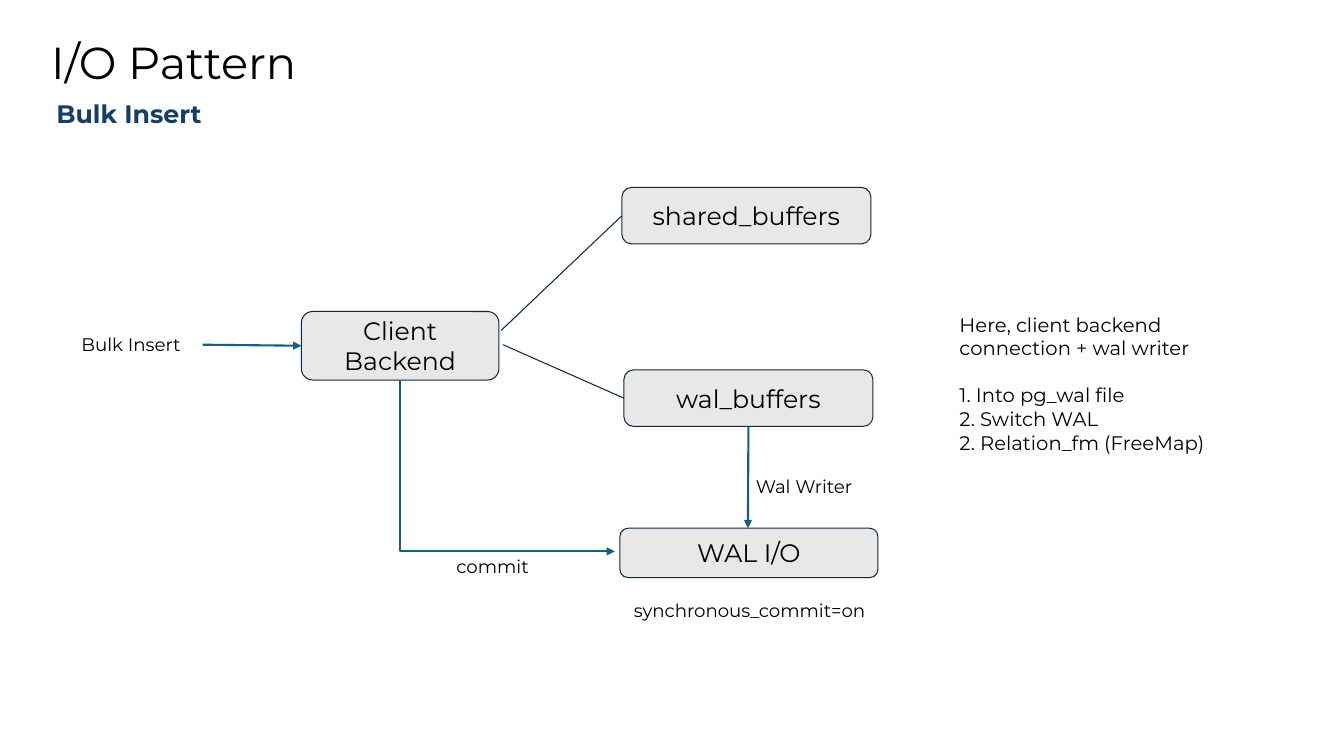
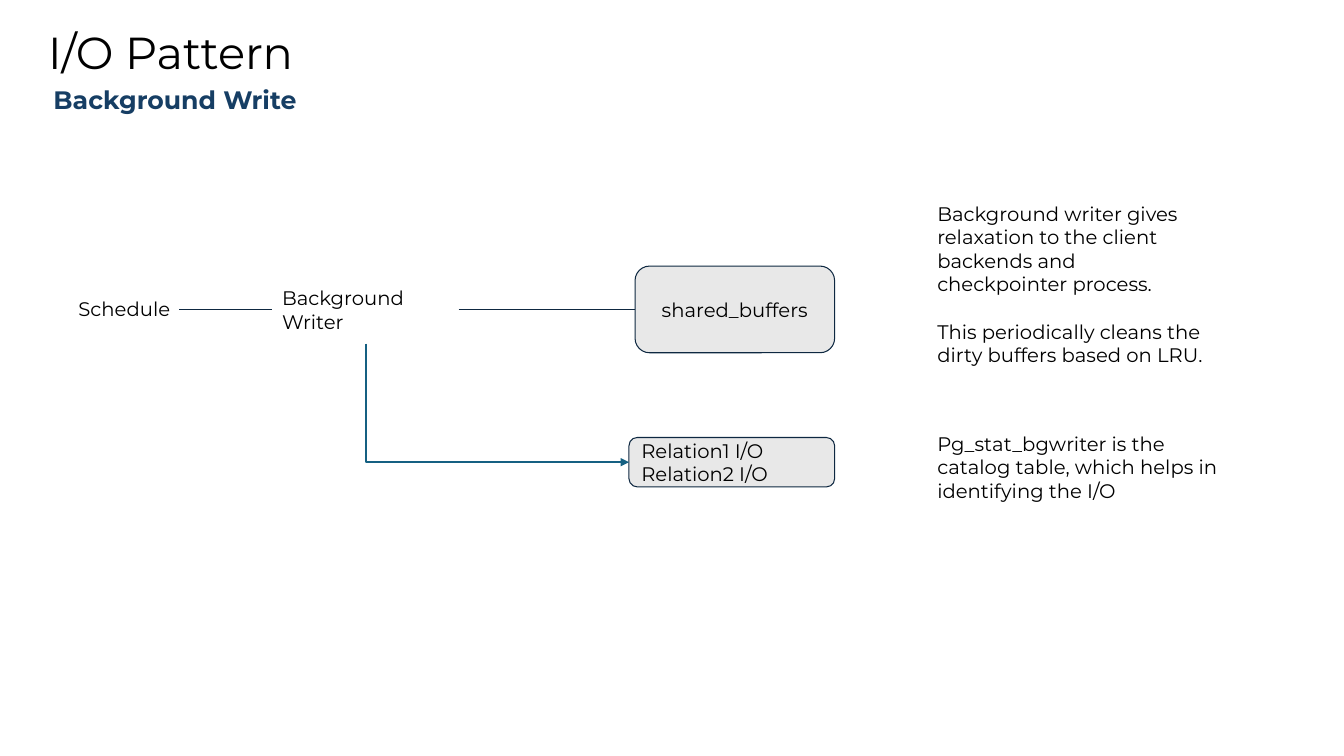
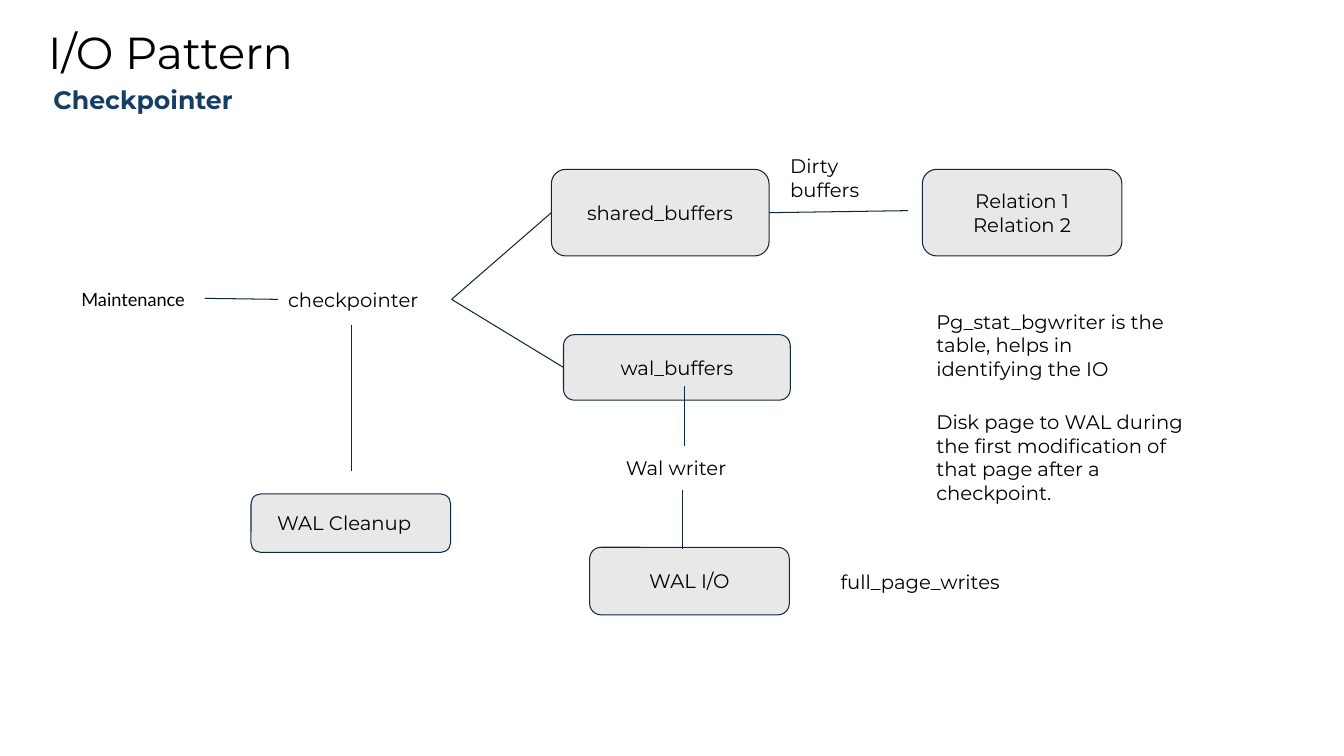
from pptx import Presentation
from pptx import util as u
from pptx.dml import color
from pptx.enum import shapes, text
from pptx.oxml import ns
from lxml import etree

COLORS = {"ink": "000000", "navy": "163E64", "edge": "0E2841",
          "panel": "E8E8E8", "flow": "156082", "paper": "FFFFFF"}
FONT = "Montserrat"
CELL = u.Inches(0.1)      # one column or row of the grid
COLUMNS, ROWS = 133.33, 75
INSET = 1                 # usual text inset, in cells


def rgb(name):
    return color.RGBColor.from_string(COLORS[name])


def cells(*counts):
    return [u.Emu(round(count * CELL)) for count in counts]


def side(shape, across, down):
    """Grid point at a share of a shape's width and height."""
    return ((shape.left + across * shape.width) / CELL,
            (shape.top + down * shape.height) / CELL)


class Sketch:
    """The deck's style and the slide being drawn; lengths are grid cells."""

    def __init__(self):
        self.deck = Presentation()
        self.deck.slide_width, self.deck.slide_height = cells(COLUMNS, ROWS)
        self.page = None

    def new_page(self, subtitle, left, top, drop):
        self.page = self.deck.slides.add_slide(self.deck.slide_layouts[6])
        fill = self.page.background.fill
        fill.solid()
        fill.fore_color.rgb = rgb("paper")
        title = self.label("I/O Pattern", left, top, 41.9, 7.2, size=32, grow=False)
        heading = self.label(subtitle, left + 1.5, top + drop, 31.9, 2.7,
                             size=18, ink="navy", bold=True, inset=0)
        for box in (title, heading):
            box.text_frame.paragraphs[0].line_spacing = 0.9

    def set_words(self, shape, words, size, ink="ink", bold=False, font=FONT,
                  align=None, inset=INSET, gaps=()):
        """Put one paragraph per line of words; gaps lists lines with space before."""
        frame = shape.text_frame
        frame.word_wrap = True
        (frame.margin_left, frame.margin_top, frame.margin_right,
         frame.margin_bottom) = cells(inset, *[min(inset, INSET)] * 3)
        for index, line in enumerate(words.split("\n")):
            para = frame.add_paragraph() if index else frame.paragraphs[0]
            para.text = line
            para.alignment = align
            if index in gaps:
                para.space_before = u.Pt(17)
            para.font.name, para.font.size = font, u.Pt(size)
            para.font.bold = bold
            para.font.color.rgb = rgb(ink)

    def label(self, words, left, top, width, height, size=14, grow=True, **style):
        box = self.page.shapes.add_textbox(*cells(left, top, width, height))
        self.set_words(box, words, size, **style)
        box.text_frame.auto_size = (text.MSO_AUTO_SIZE.SHAPE_TO_FIT_TEXT if grow
                                    else text.MSO_AUTO_SIZE.NONE)
        return box

    def node(self, words, left, top, width, height, size=14, process=False,
             align=text.PP_ALIGN.CENTER, inset=INSET):
        kinds = shapes.MSO_SHAPE
        kind = kinds.FLOWCHART_ALTERNATE_PROCESS if process else kinds.ROUNDED_RECTANGLE
        box = self.page.shapes.add_shape(kind, *cells(left, top, width, height))
        box.shadow.inherit = False
        box.fill.solid()
        box.fill.fore_color.rgb = rgb("panel")
        box.line.color.rgb, box.line.width = rgb("edge"), u.Pt(0.75)
        box.text_frame.vertical_anchor = text.MSO_ANCHOR.MIDDLE
        self.set_words(box, words, size, align=align, inset=inset)
        return box

    def link(self, start, end, arrow=False, kind=shapes.MSO_CONNECTOR.STRAIGHT):
        line = self.page.shapes.add_connector(kind, *cells(*start, *end))
        line.line.color.rgb = rgb("flow" if arrow else "edge")
        line.line.width = u.Pt(1.5 if arrow else 0.75)
        props = line._element.spPr
        etree.SubElement(props, ns.qn("a:effectLst"))
        if arrow:
            outline = props.find(ns.qn("a:ln"))
            etree.SubElement(outline, ns.qn("a:tailEnd"), type="triangle")
        return line

    def elbow(self, start, end):
        """Arrow that runs down and then right: a turned, mirrored single bend."""
        middle_x, middle_y = (start[0] + end[0]) / 2, (start[1] + end[1]) / 2
        half_run, half_fall = (end[0] - start[0]) / 2, (end[1] - start[1]) / 2
        line = self.link((middle_x - half_fall, middle_y - half_run),
                         (middle_x + half_fall, middle_y + half_run),
                         arrow=True, kind=shapes.MSO_CONNECTOR.ELBOW)
        props = line._element.spPr
        props.find(ns.qn("a:prstGeom")).set("prst", "bentConnector2")
        frame = props.find(ns.qn("a:xfrm"))
        frame.set("rot", str(270 * 60000))
        frame.set("flipH", "1")


def bulk_insert(sketch):
    sketch.new_page("Bulk Insert", 4.1, 3, 7.1)
    # Nodes
    shared = sketch.node("shared_buffers", 61.7, 18.6, 24.7, 5.6, size=18)
    wal = sketch.node("wal_buffers", 61.9, 36.7, 24.7, 5.6, size=18)
    sketch.node("WAL I/O", 61.5, 52.4, 25.6, 4.9, size=18, process=True)
    client = sketch.node("Client Backend", 29.9, 30.9, 19.6, 6.8, size=18)
    # Links
    sketch.link((49.7, 32.8), side(shared, 0, 0.5))
    sketch.link((49.9, 34.2), side(wal, 0, 0.5))
    sketch.elbow(side(client, 0.5, 1), (61, 54.7))
    sketch.link(side(wal, 0.5, 1), (74.2, 52.4), arrow=True)
    sketch.link((20.1, 34.2), side(client, 0, 0.5), arrow=True)
    # Labels
    for words, left, top, width in (("Bulk Insert", 7.1, 32.1, 13),
                                    ("synchronous_commit=on", 61.9, 58.5, 26.9),
                                    ("commit", 44.3, 54.1, 13),
                                    ("Wal Writer", 74, 46.2, 14.5)):
        sketch.label(words, left, top, width, 4.2, size=13)
    sketch.label("Here, client backend connection + wal writer\n1. Into pg_wal file\n"
                 "2. Switch WAL\n2. Relation_fm (FreeMap)",
                 94.2, 30, 26.5, 16.2, gaps=(1,))


def background_write(sketch):
    sketch.new_page("Background Write", 3.8, 2.1, 6.6)
    # Nodes
    shared = sketch.node("shared_buffers", 63, 26.4, 19.8, 8.6)
    relations = sketch.node("Relation1 I/O\nRelation2 I/O", 62.4, 43.4, 20.4, 4.9,
                            process=True, align=text.PP_ALIGN.LEFT)
    # Labels
    sketch.label("Schedule", 6.8, 28.5, 13, 4.4)
    sketch.label("Background Writer", 27, 27.4, 18.5, 6.7)
    sketch.label("Background writer gives relaxation to the client backends and "
                 "checkpointer process.\nThis periodically cleans the dirty buffers "
                 "based on LRU.", 92, 19, 28.6, 18.5, gaps=(1,))
    sketch.label("Pg_stat_bgwriter is the catalog table, which helps in "
                 "identifying the I/O", 92, 41.8, 31.5, 9.1)
    # Links
    sketch.link((45.5, 30.7), side(shared, 0, 0.5))
    sketch.link((17.8, 30.7), (27, 30.7))
    sketch.elbow((36.3, 34.1), side(relations, 0, 0.5))


def checkpointer(sketch):
    sketch.new_page("Checkpointer", 3.8, 2.1, 6.6)
    # Nodes
    shared = sketch.node("shared_buffers", 54.7, 16.8, 21.6, 8.6)
    wal = sketch.node("wal_buffers", 55.9, 33.2, 22.5, 6.5)
    sketch.node("WAL Cleanup", 24.9, 49, 19.8, 5.8, align=text.PP_ALIGN.LEFT, inset=2.3)
    sketch.node("Relation 1\nRelation 2", 91.5, 16.8, 19.8, 8.6)
    sketch.node("WAL I/O", 58.5, 54.3, 19.8, 6.7)
    # Links
    fork = (44.8, 29.7)
    for start, end in ((fork, side(shared, 0, 0.5)),
                       (fork, side(wal, 0, 0.5)),
                       ((20.3, 29.6), (27.6, 29.7)),
                       (side(shared, 1, 0.5), (90.1, 20.9)),
                       ((34.9, 32.2), (34.9, 46.7)),
                       ((67.9, 38.3), (67.9, 44.2)),
                       ((67.7, 48.6), (67.7, 54.5))):
        sketch.link(start, end)
    # Labels
    sketch.label("Maintenance", 7.1, 27.6, 12.6, 4.2, size=13, font="Lato")
    for words, left, top, width, height in (
            ("checkpointer", 27.6, 27.6, 17.2, 4.4),
            ("Dirty buffers", 77.4, 14.3, 13.8, 6.7),
            ("Wal writer", 61.1, 44.2, 13.5, 4.4),
            ("full_page_writes", 82.4, 55.5, 22.9, 4.4),
            ("Pg_stat_bgwriter is the table, helps in identifying the IO",
             91.9, 29.7, 25.4, 9.1),
            ("Disk page to WAL during the first modification of that page after a "
             "checkpoint.", 91.9, 39.7, 27.8, 11.4)):
        sketch.label(words, left, top, width, height)


def main():
    sketch = Sketch()
    for draw in (bulk_insert, background_write, checkpointer):
        draw(sketch)
    sketch.deck.save("out.pptx")


if __name__ == "__main__":
    main()
